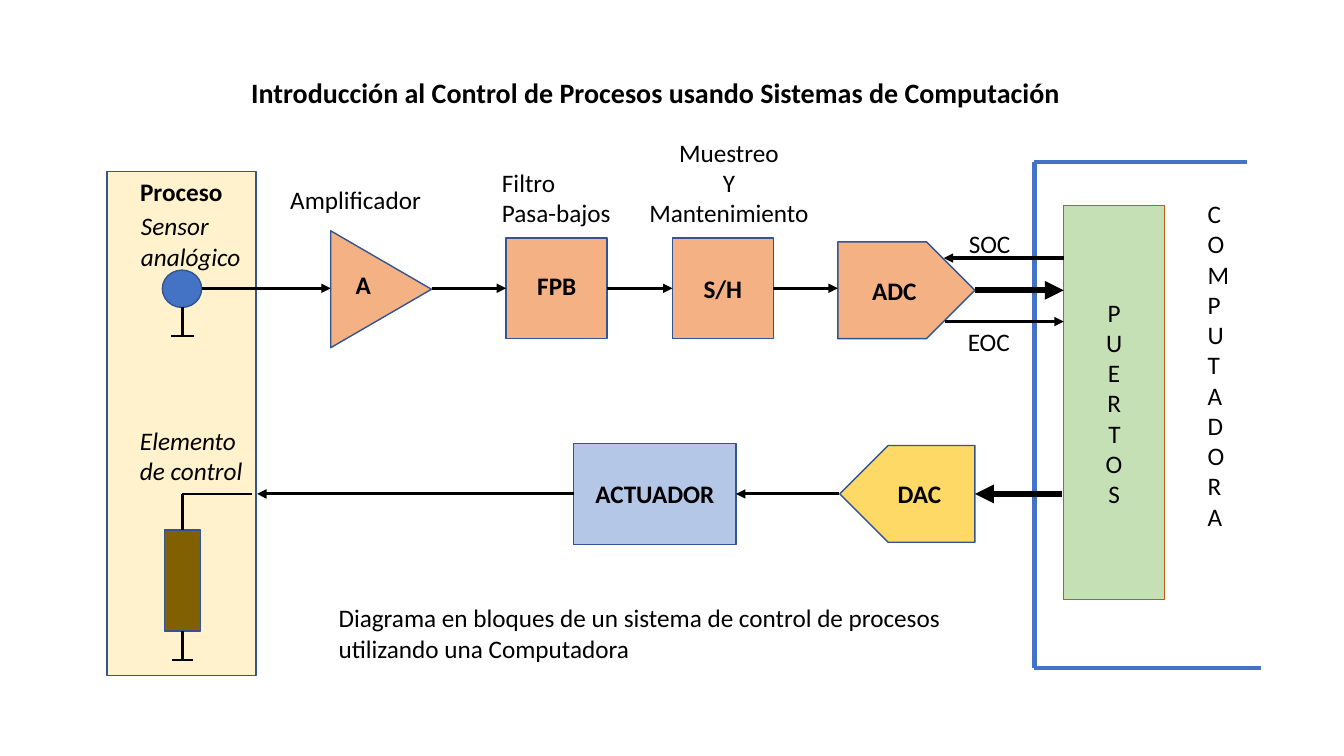
from lxml.etree import SubElement
from pptx import Presentation
from pptx.dml.color import RGBColor
from pptx.enum.shapes import MSO_CONNECTOR as LINK, MSO_SHAPE as FORM
from pptx.enum.text import MSO_ANCHOR as ANCHOR, MSO_AUTO_SIZE as FIT, PP_ALIGN as ALIGN
from pptx.oxml.ns import qn
from pptx.util import Inches, Pt

BLACK = RGBColor(0x00, 0x00, 0x00)
NAVY = RGBColor(0x32, 0x54, 0x91)
BLUE = RGBColor(0x44, 0x72, 0xC4)
CREAM = RGBColor(0xFF, 0xF2, 0xCC)
PEACH = RGBColor(0xF4, 0xB1, 0x83)
GREEN = RGBColor(0xC5, 0xE0, 0xB4)
RUST = RGBColor(0xC5, 0x5A, 0x11)
GOLD = RGBColor(0xFF, 0xD9, 0x66)
SKY = RGBColor(0xB4, 0xC7, 0xE7)
BROWN = RGBColor(0x80, 0x60, 0x00)


def write(shape, lines, size=18, bold=False, slant=False, align=ALIGN.LEFT):
    frame = shape.text_frame
    for i, line in enumerate(lines):
        para = frame.add_paragraph() if i else frame.paragraphs[0]
        para.alignment = align
        run = para.add_run()
        run.text = line
        font = run.font
        font.name = "Calibri"
        font.size = Pt(size)
        font.bold = bold
        font.italic = slant
        font.color.rgb = BLACK


def stack(shape):
    shape.element.txBody.find(qn("a:bodyPr")).set("vert", "wordArtVert")


def label(slide, box, *lines, **style):
    shape = slide.shapes.add_textbox(*map(Inches, box))
    shape.text_frame.word_wrap = False
    shape.text_frame.auto_size = FIT.SHAPE_TO_FIT_TEXT
    write(shape, lines, **style)
    return shape


def block(slide, form, box, fill, text="", bold=True, edge=NAVY):
    shape = slide.shapes.add_shape(form, *map(Inches, box))
    shape.shadow.inherit = False
    shape.fill.solid()
    shape.fill.fore_color.rgb = fill
    shape.line.color.rgb = edge
    shape.line.width = Pt(1)
    shape.text_frame.vertical_anchor = ANCHOR.MIDDLE
    if text:
        write(shape, [text], bold=bold, align=ALIGN.CENTER)
    return shape


def wire(slide, start, end, width=1.5, ink=BLACK, head=False):
    line = slide.shapes.add_connector(LINK.STRAIGHT, *map(Inches, start + end))
    line.line.color.rgb = ink
    line.line.width = Pt(width)
    if head:
        SubElement(line.line._get_or_add_ln(), qn("a:tailEnd")).set("type", "triangle")
    SubElement(line.element.spPr, qn("a:effectLst"))
    return line


def arrow(slide, start, end, width=2.25):
    return wire(slide, start, end, width, head=True)


def heading(slide, box):
    title = slide.shapes.title
    title.left, title.top, title.width, title.height = map(Inches, box)
    frame = title.text_frame
    frame.word_wrap = True
    frame.auto_size = FIT.SHAPE_TO_FIT_TEXT
    frame.vertical_anchor = ANCHOR.TOP
    write(title, ["Introducción al Control de Procesos usando Sistemas de Computación"],
          size=20, bold=True)


def process(slide, box):
    x, y, w, h = box
    block(slide, FORM.RECTANGLE, box, CREAM)
    label(slide, (x + 0.23, y, 1.02, 0.4), "Proceso", bold=True)
    label(slide, (x + 0.24, y + 0.34, 1.2, 0.71), "Sensor", "analógico", slant=True)
    label(slide, (x + 0.23, y + 2.47, 1.23, 0.71), "Elemento", "de control", slant=True)
    block(slide, FORM.OVAL, (x + 0.55, y + 0.98, 0.39, 0.37), BLUE)
    mid = x + 0.75
    wire(slide, (mid, y + 1.35), (mid, y + 1.63))
    wire(slide, (mid - 0.11, y + 1.63), (mid + 0.11, y + 1.63))
    load = block(slide, FORM.RECTANGLE, (mid - 0.18, y + 3.56, 0.36, 1), BROWN)
    wire(slide, (x + 1.44, y + 3.2), (mid, y + 3.2))
    wire(slide, (mid, y + 3.2), (mid, y + 3.56)).end_connect(load, 0)
    wire(slide, (mid, y + 4.56), (mid, y + 4.85)).begin_connect(load, 2)
    wire(slide, (mid - 0.1, y + 4.85), (mid + 0.1, y + 4.85))


def computer(slide, box):
    x, y, w, h = box
    wire(slide, (x + 2.11, y), (x, y), 3, BLUE)
    wire(slide, (x, y), (x, y + h), 3, BLUE)
    wire(slide, (x, y + h), (x + w, y + h), 3, BLUE)
    stack(block(slide, FORM.RECTANGLE, (x + 0.29, y + 0.43, 1, 3.91), GREEN,
                "PUERTOS", False, RUST))
    stack(label(slide, (x + 1.62, y + 0.31, 0.56, 4.03), "COMPUTADORA"))


def sensing(slide, box):
    x, y, w, h = box
    mid = y + 1.55
    label(slide, (x + 0.78, y + 0.47, 1.51, 0.4), "Amplificador")
    label(slide, (x + 2.88, y + 0.3, 1.29, 0.71), "Filtro", "Pasa-bajos")
    label(slide, (x + 4.33, y, 1.8, 1.01), "Muestreo", "Y", "Mantenimiento",
          align=ALIGN.CENTER)
    amp = block(slide, FORM.ISOSCELES_TRIANGLE, (x + 1.2, mid - 0.49, 1.16, 1), PEACH)
    amp.rotation = 90
    label(slide, (x + 1.43, y + 1.31, 0.35, 0.4), "A", bold=True)
    low = block(slide, FORM.RECTANGLE, (x + 3.02, mid - 0.5, 1, 1), PEACH)
    label(slide, (x + 3.23, y + 1.32, 0.59, 0.4), "FPB", bold=True)
    hold = block(slide, FORM.RECTANGLE, (x + 4.67, mid - 0.5, 1, 1), PEACH, "S/H")
    block(slide, FORM.PENTAGON, (x + 6.31, mid - 0.46, 1.36, 0.96), PEACH, "ADC")
    arrow(slide, (x, mid), (x + 1.28, mid))
    arrow(slide, (x + 2.28, mid), (x + 3.02, mid)).end_connect(low, 1)
    link = arrow(slide, (x + 4.02, mid), (x + 4.67, mid))
    link.begin_connect(low, 3)
    link.end_connect(hold, 1)
    arrow(slide, (x + 5.67, mid), (x + 6.31, mid)).begin_connect(hold, 3)
    arrow(slide, (x + w, mid - 0.3), (x + 7.36, mid - 0.3))
    arrow(slide, (x + 7.67, mid + 0.02), (x + w, mid + 0.02), 4.5)
    arrow(slide, (x + 7.37, mid + 0.33), (x + w, mid + 0.33))
    label(slide, (x + 7.51, y + 0.91, 0.62, 0.4), "SOC")
    label(slide, (x + 7.5, y + 1.88, 0.62, 0.4), "EOC")


def control(slide, box):
    x, y, w, h = box
    mid = y + h / 2
    dac = block(slide, FORM.PENTAGON, (x + 5.78, mid - 0.48, 1.34, 0.96), GOLD, "DAC")
    dac.element.spPr.find(qn("a:xfrm")).set("flipH", "1")
    drive = block(slide, FORM.RECTANGLE, (x + 3.14, y, 1.61, h), SKY, "ACTUADOR")
    arrow(slide, (x + w, mid), (x + 7.12, mid), 4.5)
    arrow(slide, (x + 5.77, mid), (x + 4.75, mid)).end_connect(drive, 3)
    arrow(slide, (x + 3.14, mid), (x, mid)).begin_connect(drive, 1)


def main():
    deck = Presentation()
    deck.slide_width, deck.slide_height = Inches(13.33), Inches(7.5)
    slide = deck.slides.add_slide(deck.slide_layouts[5])
    heading(slide, (2.39, 0.7, 8.34, 0.44))
    process(slide, (1.06, 1.7, 1.48, 5))
    computer(slide, (10.26, 1.61, 2.25, 5.02))
    sensing(slide, (2, 1.31, 8.55, 2.28))
    control(slide, (2.55, 4.4, 7.98, 1))
    label(slide, (3.26, 5.93, 6.24, 0.71),
          "Diagrama en bloques de un sistema de control de procesos",
          "utilizando una Computadora")
    deck.save("out.pptx")


if __name__ == "__main__":
    main()
